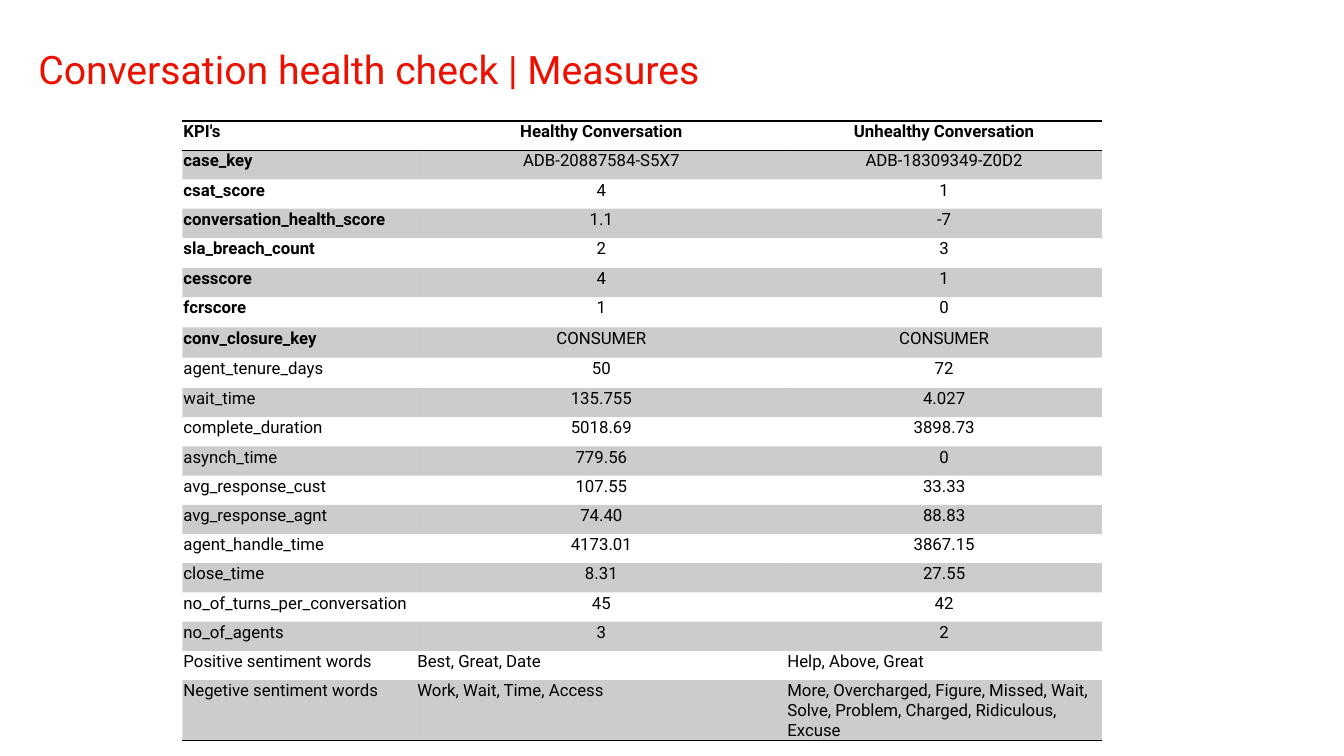
"""Build the conversation health check slide with its table of measures."""
from dataclasses import dataclass
from typing import NamedTuple

from lxml import etree
from pptx import Presentation
from pptx.dml.color import RGBColor
from pptx.enum.text import MSO_ANCHOR, PP_ALIGN
from pptx.oxml.ns import qn
from pptx.util import Emu, Pt

LEFT, CENTER = PP_ALIGN.LEFT, PP_ALIGN.CENTER
TOP, MIDDLE = MSO_ANCHOR.TOP, MSO_ANCHOR.MIDDLE
EMU_PER_PX = 9144
PLAIN_TABLE_STYLE = "{2D5ABB26-0587-4C30-8999-92F81FD0307C}"


@dataclass(frozen=True)
class Theme:
    font: str = "Roboto"
    title_color: str = "EB1000"
    ink: str = "000000"
    band_alpha: int = 20
    title_size: int = 28
    table_size: int = 12
    rule_width: int = 1


class Measure(NamedTuple):
    name: str
    healthy: str
    unhealthy: str
    bold: bool = False
    align: PP_ALIGN = CENTER
    height: int = 29


THEME = Theme()
COLUMNS = (232, 367, 313)
MEASURES = (
    Measure("KPI's", "Healthy Conversation", "Unhealthy Conversation", True),
    Measure("case_key", "ADB-20887584-S5X7", "ADB-18309349-Z0D2", True),
    Measure("csat_score", "4", "1", True),
    Measure("conversation_health_score", "1.1", "-7", True),
    Measure("sla_breach_count", "2", "3", True, height=30),
    Measure("cesscore", "4", "1", True),
    Measure("fcrscore", "1", "0", True, height=30),
    Measure("conv_closure_key", "CONSUMER", "CONSUMER", True, height=30),
    Measure("agent_tenure_days", "50", "72", height=30),
    Measure("wait_time", "135.755", "4.027"),
    Measure("complete_duration", "5018.69", "3898.73"),
    Measure("asynch_time", "779.56", "0"),
    Measure("avg_response_cust", "107.55", "33.33"),
    Measure("avg_response_agnt", "74.40", "88.83"),
    Measure("agent_handle_time", "4173.01", "3867.15"),
    Measure("close_time", "8.31", "27.55"),
    Measure("no_of_turns_per_conversation", "45", "42"),
    Measure("no_of_agents", "3", "2"),
    Measure("Positive sentiment words", "Best, Great, Date", "Help, Above, Great", align=LEFT),
    Measure(
        "Negetive sentiment words",
        "Work, Wait, Time, Access",
        "More, Overcharged, Figure, Missed, Wait, Solve, Problem, Charged, Ridiculous, Excuse",
        align=LEFT,
    ),
)


def px(n: int) -> Emu:
    return Emu(n * EMU_PER_PX)


def add_run(p, text: str, size: int, color: str, bold: bool = False) -> None:
    r = p.add_run()
    r.text = text
    r.font.name = THEME.font
    r.font.size = Pt(size)
    r.font.bold = bold
    r.font.color.rgb = RGBColor.from_string(color)


def add_rule(cell, side: str) -> None:
    ln = etree.SubElement(cell._tc.get_or_add_tcPr(), qn(f"a:ln{side}"), w=str(Pt(THEME.rule_width)))
    fill = etree.SubElement(ln, qn("a:solidFill"))
    etree.SubElement(fill, qn("a:srgbClr"), val=THEME.ink)


def shade(cell) -> None:
    cell.fill.solid()
    cell.fill.fore_color.rgb = RGBColor.from_string(THEME.ink)
    color = cell._tc.tcPr.find(qn("a:solidFill")).find(qn("a:srgbClr"))
    etree.SubElement(color, qn("a:alpha"), val=str(THEME.band_alpha * 1000))


def fill_cell(cell, text: str, align: PP_ALIGN, bold: bool, rules: str, banded: bool) -> None:
    cell.margin_left = cell.margin_right = cell.margin_top = px(1)
    cell.margin_bottom = 0
    cell.vertical_anchor = TOP
    p = cell.text_frame.paragraphs[0]
    p.alignment = align
    add_run(p, text, THEME.table_size, THEME.ink, bold)
    for side in rules:
        add_rule(cell, side)
    if banded:
        shade(cell)
    else:
        cell.fill.background()


def add_title(s, text: str) -> None:
    sp = s.shapes.title
    sp.left, sp.top, sp.width, sp.height = px(33), px(31), px(1266), px(74)
    tf = sp.text_frame
    tf.word_wrap = True
    tf.vertical_anchor = MIDDLE
    tf.margin_left = tf.margin_right = tf.margin_top = tf.margin_bottom = px(5)
    p = tf.paragraphs[0]
    p.alignment = LEFT
    add_run(p, text, THEME.title_size, THEME.title_color)


def add_measures(s) -> None:
    height = sum(m.height for m in MEASURES)
    frame = s.shapes.add_table(
        len(MEASURES), len(COLUMNS), px(181), px(120), px(sum(COLUMNS)), px(height)
    )
    table = frame.table
    table.first_row = table.horz_banding = False
    table._tbl.tblPr.find(qn("a:tableStyleId")).text = PLAIN_TABLE_STYLE
    for col, width in zip(table.columns, COLUMNS):
        col.width = px(width)
    last = len(MEASURES) - 1
    for i, m in enumerate(MEASURES):
        table.rows[i].height = px(m.height)
        rules = {0: "TB", last: "B"}.get(i, "")
        for j, text in enumerate((m.name, m.healthy, m.unhealthy)):
            align = m.align if j else LEFT
            bold = m.bold and (i == 0 or j == 0)
            fill_cell(table.cell(i, j), text, align, bold, rules, i % 2 == 1)


def main() -> None:
    prs = Presentation()
    prs.slide_width, prs.slide_height = px(1333), px(750)
    s = prs.slides.add_slide(prs.slide_layouts[5])
    add_title(s, "Conversation health check | Measures")
    add_measures(s)
    prs.save("out.pptx")


if __name__ == "__main__":
    main()
